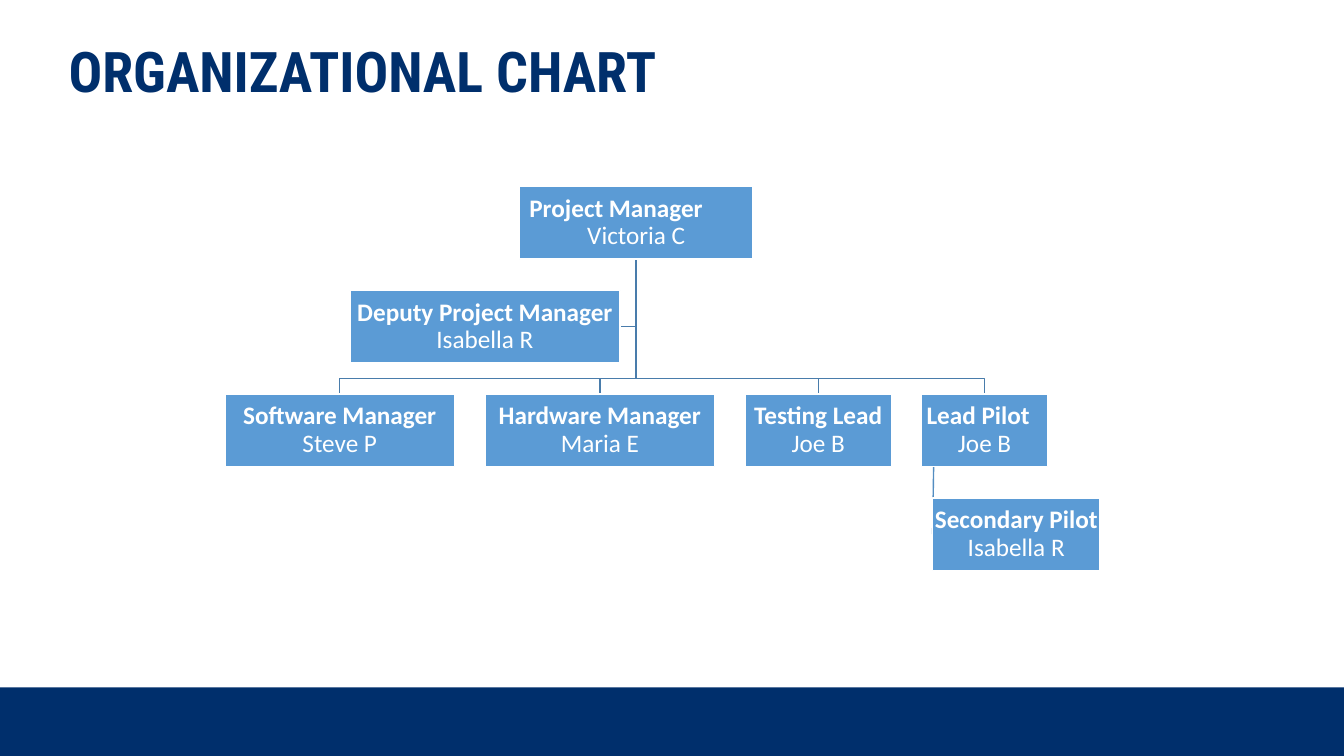
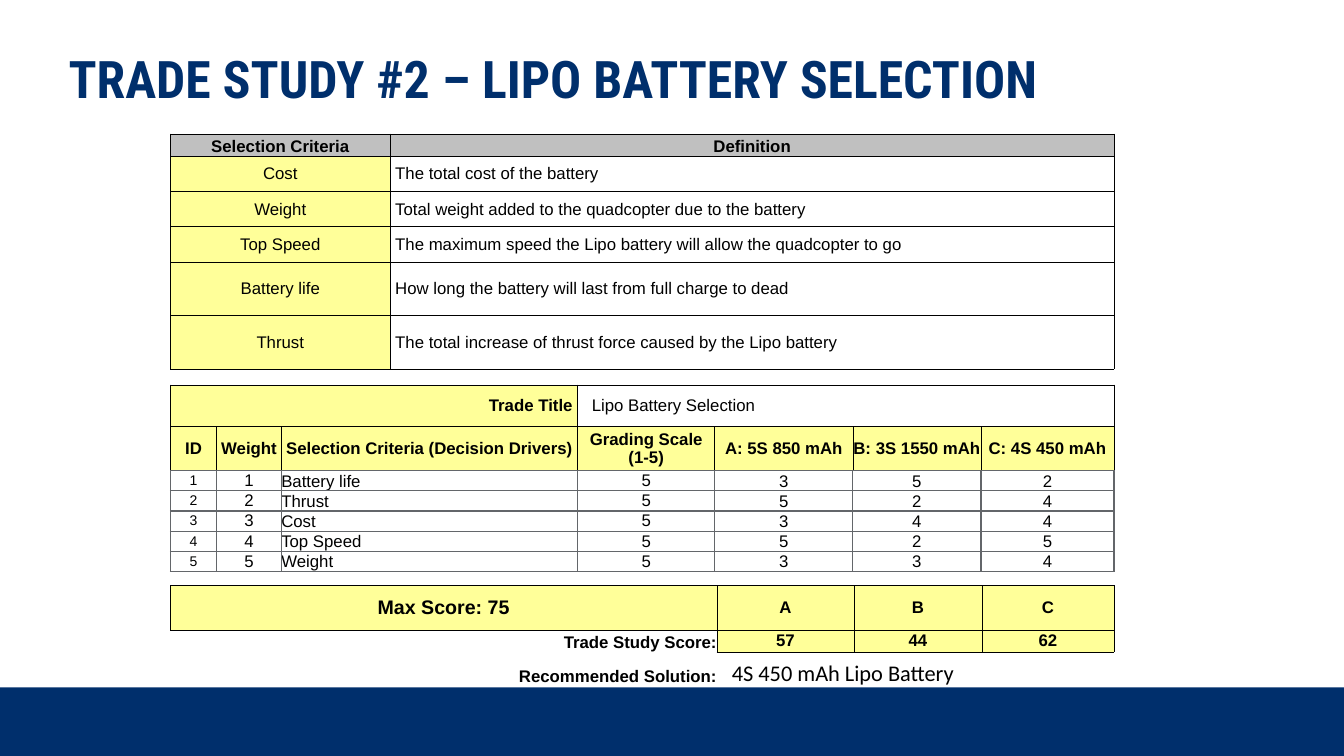
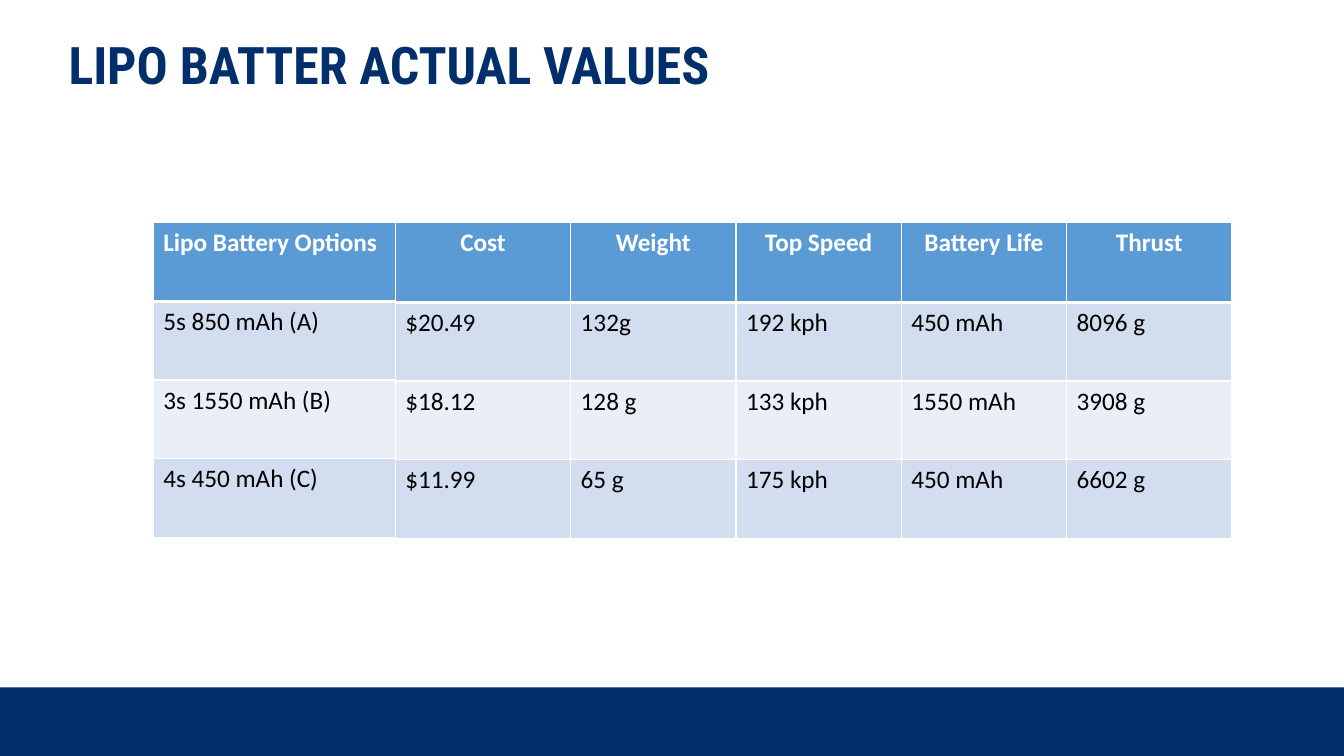
from dataclasses import dataclass, replace
from itertools import accumulate

from lxml.etree import SubElement
from pptx import Presentation
from pptx.dml.color import RGBColor
from pptx.enum.shapes import MSO_CONNECTOR, MSO_SHAPE
from pptx.enum.text import MSO_ANCHOR, MSO_AUTO_SIZE, PP_ALIGN
from pptx.oxml.ns import qn
from pptx.util import Inches, Pt

# ---------- Content ----------
ORG_TITLE = "ORGANIZATIONAL CHART"
# role, name, box width, left indent of the role (None: centred)
MANAGER = ("Project Manager", "Victoria C", 2.32, 0.09)
DEPUTY = ("Deputy Project Manager", "Isabella R", 2.68, None)
LEADS = [
    ("Software Manager", "Steve P", 2.28, None),
    ("Hardware Manager", "Maria E", 2.28, None),
    ("Testing Lead", "Joe B", 1.45, None),
    ("Lead Pilot", "Joe B", 1.25, 0.04),
]
SECOND_PILOT = ("Secondary Pilot", "Isabella R", 1.66, None)

TRADE_TITLE = "TRADE STUDY #2 – LIPO BATTERY SELECTION"
DEFINITIONS = [
    ("Selection Criteria", "Definition"),
    ("Cost", "The total cost of the battery"),
    ("Weight", "Total weight added to the quadcopter due to the battery"),
    ("Top Speed", "The maximum speed the Lipo battery will allow the quadcopter to go"),
    ("Battery life", "How long the battery will last from full charge to dead"),
    ("Thrust", "The total increase of thrust force caused by the Lipo battery"),
]
GRADES = [
    ("Trade Title", "", "", "Lipo Battery Selection", "", "", ""),
    ("ID", "Weight", "Selection Criteria (Decision Drivers)", "Grading Scale (1-5)",
     "A: 5S 850 mAh", "B: 3S 1550 mAh", "C: 4S 450 mAh"),
    ("1", "1", "Battery life", "5", "3", "5", "2"),
    ("2", "2", "Thrust", "5", "5", "2", "4"),
    ("3", "3", "Cost", "5", "3", "4", "4"),
    ("4", "4", "Top Speed", "5", "5", "2", "5"),
    ("5", "5", "Weight", "5", "3", "3", "4"),
]
SCORES = [
    ("Max Score: 75", "A", "B", "C"),
    ("Trade Study Score:", "57", "44", "62"),
    ("Recommended Solution:", "", "", ""),
]
RECOMMENDATION = "4S 450 mAh Lipo Battery"

VALUES_TITLE = "LIPO BATTER ACTUAL VALUES"
OPTIONS = [("Lipo Battery Options",), ("5s 850 mAh (A)",), ("3s 1550 mAh (B)",),
           ("4s 450 mAh (C)",)]
ACTUAL_VALUES = [
    ("Cost", "Weight", "Top Speed", "Battery Life", "Thrust"),
    ("$20.49", "132g", "192 kph", "450 mAh", "8096 g"),
    ("$18.12", "128 g", "133 kph", "1550 mAh", "3908 g"),
    ("$11.99", "65 g", "175 kph", "450 mAh", "6602 g"),
]


# ---------- Theme ----------
@dataclass(frozen=True)
class Theme:
    navy: RGBColor = RGBColor.from_string("002F6C")
    blue: RGBColor = RGBColor.from_string("5B9BD5")
    link: RGBColor = RGBColor.from_string("497CAB")
    pilot_link: RGBColor = RGBColor.from_string("538DC1")
    band_dark: RGBColor = RGBColor.from_string("D2DEEF")
    band_light: RGBColor = RGBColor.from_string("EAEFF7")
    yellow: RGBColor = RGBColor.from_string("FFFF99")
    silver: RGBColor = RGBColor.from_string("C0C0C0")
    gray: RGBColor = RGBColor.from_string("63666A")
    black: RGBColor = RGBColor.from_string("000000")
    white: RGBColor = RGBColor.from_string("FFFFFF")
    title_font: str = "Roboto Condensed"
    body_font: str = "Calibri"
    sheet_font: str = "Arial"
    title_large: int = 40
    title_small: int = 37
    body: int = 18
    note: int = 16
    score: int = 14
    sheet: int = 12
    tiny: int = 10


THEME = Theme()
SLIDE_W, SLIDE_H = 13.33, 7.5
BAND_TOP = 6.82
NODE_H, NODE_GAP, LEVEL_GAP = 0.72, 0.3, 0.31
ORG_LEFT, ORG_TOP = 2.23, 1.85
SHEET_LEFT = 1.69


@dataclass(frozen=True)
class CellStyle:
    fill: RGBColor = None
    size: int = THEME.sheet
    bold: bool = False
    font: str = THEME.sheet_font
    color: RGBColor = THEME.black
    align: PP_ALIGN = PP_ALIGN.CENTER
    anchor: MSO_ANCHOR = MSO_ANCHOR.MIDDLE
    insets: tuple = (0, 0, 0, 0)  # left, top, right, bottom
    line: RGBColor = THEME.black
    widths: tuple = (0.5, 0.5, 0.5, 0.5)  # left, right, top, bottom; 0 is no line


YELLOW = CellStyle(fill=THEME.yellow)
YELLOW_BOLD = replace(YELLOW, bold=True)
HEADING = CellStyle(fill=THEME.silver, bold=True, anchor=MSO_ANCHOR.BOTTOM)
DEFINITION = CellStyle(align=PP_ALIGN.LEFT, insets=(0.05, 0, 0, 0))
TRADE_LABEL = replace(YELLOW_BOLD, align=PP_ALIGN.RIGHT, insets=(0, 0, 0.05, 0))
TRADE_NAME = replace(DEFINITION, fill=THEME.white, insets=(0.14, 0, 0, 0))
GRADE = CellStyle(fill=THEME.white, line=THEME.gray, widths=(1, 1, 1, 1))
BOTTOM_GRADE = replace(GRADE, anchor=MSO_ANCHOR.BOTTOM)
SCORE_LABEL = CellStyle(bold=True, align=PP_ALIGN.RIGHT, anchor=MSO_ANCHOR.BOTTOM,
                        widths=(0, 0.5, 0.5, 0))
VALUE = CellStyle(size=THEME.body, font=THEME.body_font, align=PP_ALIGN.LEFT,
                  anchor=MSO_ANCHOR.TOP, insets=(0.1, 0.05, 0.1, 0.05),
                  line=THEME.white, widths=(1, 1, 1, 1))
VALUE_HEADING = replace(VALUE, fill=THEME.blue, bold=True, color=THEME.white,
                        widths=(1, 1, 1, 3))


def definition_style(row, col):
    if row == 0:
        return HEADING
    return DEFINITION if col else YELLOW


def grade_style(row, col):
    if row == 0:
        return TRADE_LABEL if col < 3 else TRADE_NAME
    if row == 1:
        return YELLOW_BOLD
    if col == 0:
        return replace(GRADE, size=THEME.tiny)
    if col == 2:
        return replace(BOTTOM_GRADE, align=PP_ALIGN.LEFT)
    return BOTTOM_GRADE if col > 3 else GRADE


def score_style(row, col):
    if col == 0:
        return (replace(YELLOW_BOLD, size=THEME.score), SCORE_LABEL,
                replace(SCORE_LABEL, anchor=MSO_ANCHOR.MIDDLE, widths=(0, 0, 0, 0)))[row]
    return YELLOW_BOLD if row < 2 else CellStyle(widths=(0, 0, 0.5, 0))


def value_style(row, col):
    if row == 0:
        return replace(VALUE_HEADING, align=PP_ALIGN.CENTER)
    fill = THEME.band_dark if row % 2 else THEME.band_light
    return replace(VALUE, fill=fill, widths=(1, 1, 3 if row == 1 else 1, 1))


def option_style(row, col):
    return VALUE_HEADING if row == 0 else value_style(row, col)


# ---------- Helpers ----------
def put(target, **values):
    """Set several attributes of one object."""
    for name, value in values.items():
        setattr(target, name, value)


def write(paragraph, text, font, size, color, bold=False):
    run = paragraph.add_run()
    run.text = text
    put(run.font, name=font, size=Pt(size), bold=bold)
    run.font.color.rgb = color


def box(slide, left, top, width, height, fill, outline=None):
    shape = slide.shapes.add_shape(MSO_SHAPE.RECTANGLE, *map(Inches, (left, top, width, height)))
    shape.shadow.inherit = False
    shape.fill.solid()
    shape.fill.fore_color.rgb = fill
    if outline is None:
        shape.line.fill.background()
    else:
        shape.line.color.rgb = outline
        shape.line.width = Pt(1)
    return shape


def new_slide(deck, title, top, size, spacing):
    """Add a slide with the footer band and the shared title style."""
    slide = deck.slides.add_slide(deck.slide_layouts[5])
    box(slide, 0, BAND_TOP, SLIDE_W, SLIDE_H - BAND_TOP, THEME.navy)
    heading = slide.shapes.title
    put(heading, left=Inches(0.58), top=Inches(top), width=Inches(12.07), height=Inches(0.61))
    put(heading.text_frame, word_wrap=True, auto_size=MSO_AUTO_SIZE.NONE,
        vertical_anchor=MSO_ANCHOR.TOP)
    paragraph = heading.text_frame.paragraphs[0]
    put(paragraph, alignment=PP_ALIGN.LEFT, line_spacing=spacing)
    write(paragraph, title, THEME.title_font, size, THEME.navy, True)
    return slide


def node(slide, person, left, level):
    role, name, width, indent = person
    shape = box(slide, left, level_top(level), width, NODE_H, THEME.blue, THEME.white)
    frame = shape.text_frame
    inset = Inches(0.01)
    put(frame, word_wrap=True, vertical_anchor=MSO_ANCHOR.MIDDLE, margin_left=inset,
        margin_right=inset, margin_top=inset, margin_bottom=inset)
    for text, bold in ((role, True), (name, False)):
        paragraph = frame.paragraphs[0] if bold else frame.add_paragraph()
        put(paragraph, alignment=PP_ALIGN.CENTER, line_spacing=0.9)
        if bold and indent is not None:
            paragraph.alignment = PP_ALIGN.LEFT
            paragraph._p.get_or_add_pPr().set("marL", str(Inches(indent)))
        write(paragraph, text, THEME.body_font, THEME.body, THEME.white, bold)


def level_top(level):
    return ORG_TOP + level * (NODE_H + LEVEL_GAP)


def bent_link(slide, *corners):
    """Draw an open line through corners given in inches."""
    start, *others = [tuple(map(Inches, corner)) for corner in corners]
    builder = slide.shapes.build_freeform(*start)
    builder.add_line_segments(others, close=False)
    link = builder.convert_to_shape()
    link.shadow.inherit = False
    link.fill.background()
    link.line.color.rgb = THEME.link
    link.line.width = Pt(1)


def straight_link(slide, start, end, color):
    link = slide.shapes.add_connector(MSO_CONNECTOR.STRAIGHT, *map(Inches, start + end))
    link.line.color.rgb = color
    link.line.width = Pt(1)
    SubElement(link._element.spPr, qn("a:effectLst"))


def format_cell(cell, text, style):
    properties = cell._tc.get_or_add_tcPr()
    for side, width in zip("LRTB", style.widths):
        line = SubElement(properties, qn(f"a:ln{side}"), w=str(Pt(width)))
        if width:
            fill = SubElement(line, qn("a:solidFill"))
            SubElement(fill, qn("a:srgbClr"), val=str(style.line))
        else:
            SubElement(line, qn("a:noFill"))
    if style.fill is None:
        cell.fill.background()
    else:
        cell.fill.solid()
        cell.fill.fore_color.rgb = style.fill
    left, top, right, bottom = map(Inches, style.insets)
    put(cell, vertical_anchor=style.anchor, margin_left=left, margin_top=top,
        margin_right=right, margin_bottom=bottom)
    paragraph = cell.text_frame.paragraphs[0]
    paragraph.alignment = style.align
    if text:
        write(paragraph, text, style.font, style.size, style.color, style.bold)


def grid(slide, left, top, widths, heights, rows, style_of):
    """Add a table; style_of(row, column) gives each cell's style."""
    frame = slide.shapes.add_table(len(rows), len(widths), Inches(left), Inches(top),
                                   Inches(sum(widths)), Inches(sum(heights)))
    table = frame.table
    put(table, first_row=False, horz_banding=False)
    for column, width in zip(table.columns, widths):
        column.width = Inches(width)
    for table_row, height in zip(table.rows, heights):
        table_row.height = Inches(height)
    for r, texts in enumerate(rows):
        for c, text in enumerate(texts):
            format_cell(table.cell(r, c), text, style_of(r, c))
    return table


# ---------- Slides ----------
def organization_slide(deck):
    slide = new_slide(deck, ORG_TITLE, 0.39, THEME.title_large, 0.9)
    manager_left, deputy_left = 5.15, 3.47
    trunk = manager_left + MANAGER[2] / 2
    start = (trunk, level_top(0) + NODE_H)
    deputy_right = deputy_left + DEPUTY[2]
    deputy_middle = level_top(1) + NODE_H / 2
    widths = [lead[2] for lead in LEADS]
    lefts = list(accumulate((w + NODE_GAP for w in widths[:-1]), initial=ORG_LEFT))
    pilot_left = lefts[-1] + 0.11
    lead_top = level_top(2)
    bus = lead_top - LEVEL_GAP / 2

    bent_link(slide, start, (trunk, deputy_middle), (deputy_right, deputy_middle))
    straight_link(slide, (pilot_left + 0.01, lead_top + NODE_H),
                  (pilot_left, level_top(3) + NODE_H / 2), THEME.pilot_link)
    for left, width in zip(lefts, widths):
        middle = left + width / 2
        bent_link(slide, start, (trunk, bus), (middle, bus), (middle, lead_top))

    node(slide, MANAGER, manager_left, 0)
    for lead, left in zip(LEADS, lefts):
        node(slide, lead, left, 2)
    node(slide, SECOND_PILOT, pilot_left, 3)
    node(slide, DEPUTY, deputy_left, 1)


def trade_study_slide(deck):
    slide = new_slide(deck, TRADE_TITLE, 0.53, THEME.title_small, 0.8)
    grid(slide, SHEET_LEFT, 1.33, [2.18, 7.18], [0.22] + [0.35] * 3 + [0.53] * 2,
         DEFINITIONS, definition_style)
    grades = grid(slide, SHEET_LEFT, 3.82, [0.46, 0.64, 2.94, 1.36, 1.37, 1.27, 1.32],
                  [0.41, 0.44] + [0.2] * 5, GRADES, grade_style)
    for first, last in ((0, 2), (3, 6)):
        grades.cell(0, first).merge(grades.cell(0, last))
    grid(slide, SHEET_LEFT, 5.81, [5.42, 1.36, 1.27, 1.31], [0.44, 0.22, 0.48],
         SCORES, score_style)
    answer = slide.shapes.add_textbox(*map(Inches, (7.16, 6.49, 3.01, 0.37))).text_frame
    put(answer, word_wrap=True, auto_size=MSO_AUTO_SIZE.SHAPE_TO_FIT_TEXT)
    write(answer.paragraphs[0], RECOMMENDATION, THEME.body_font, THEME.note, THEME.black)


def values_slide(deck):
    slide = new_slide(deck, VALUES_TITLE, 0.39, THEME.title_small, 0.8)
    left, top, option_width = 1.52, 2.21, 2.4
    grid(slide, left + option_width, top, [1.74] + [1.64] * 4, [0.79] + [0.78] * 3,
         ACTUAL_VALUES, value_style)
    grid(slide, left, top, [option_width], [0.78] * 4, OPTIONS, option_style)


def main():
    deck = Presentation()
    put(deck, slide_width=Inches(SLIDE_W), slide_height=Inches(SLIDE_H))
    for build in (organization_slide, trade_study_slide, values_slide):
        build(deck)
    deck.save("out.pptx")


if __name__ == "__main__":
    main()
